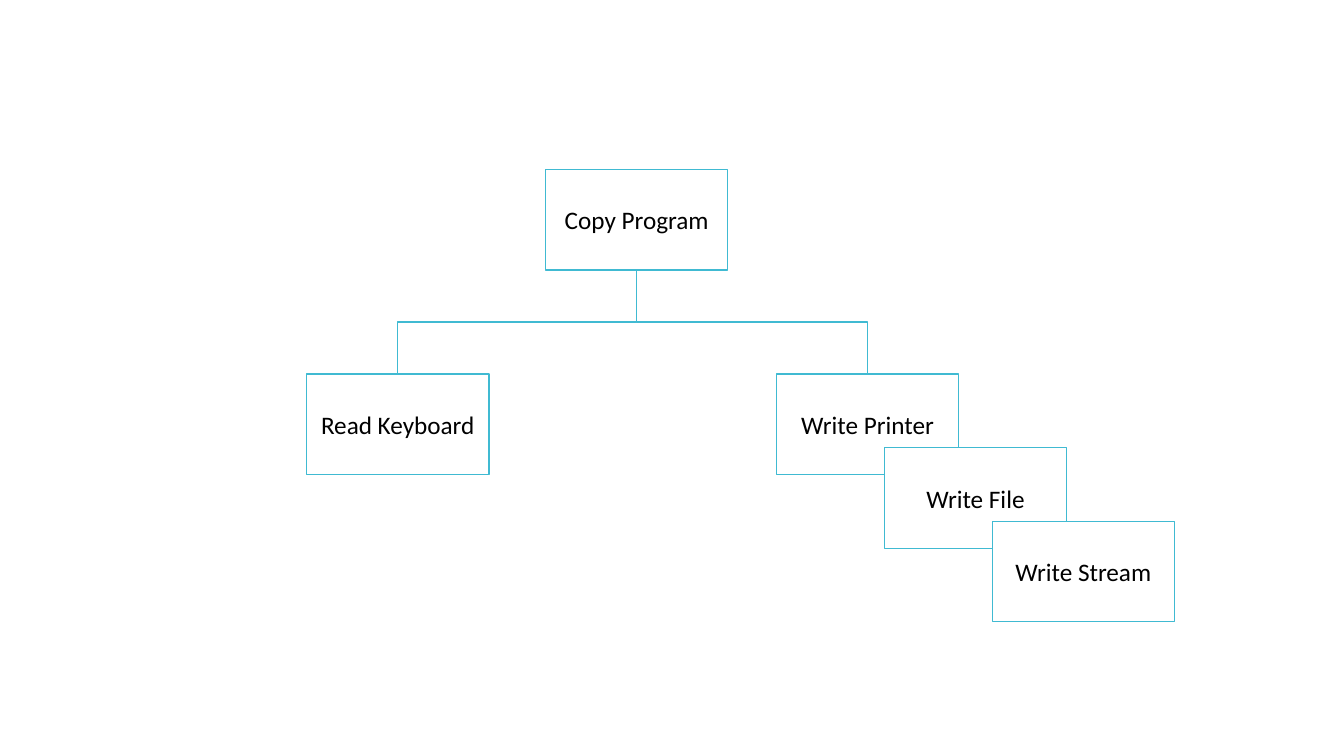
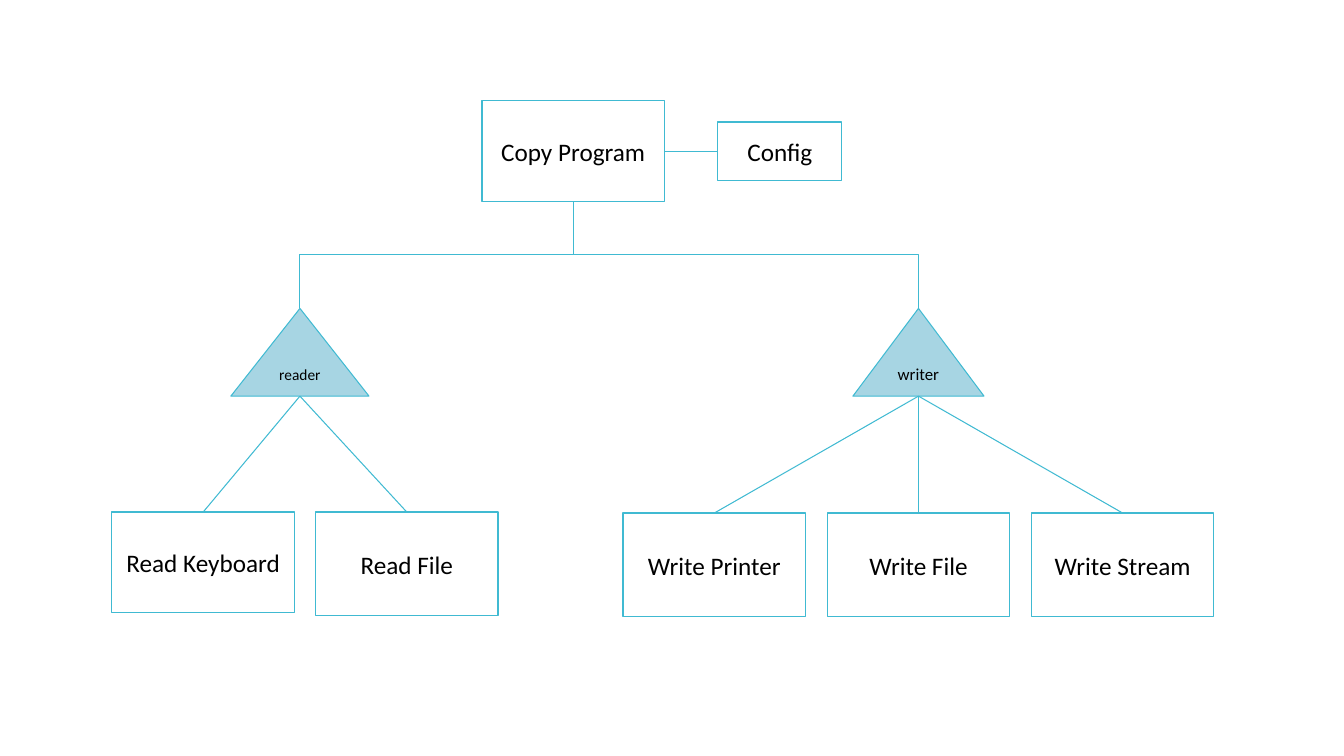
import pptx
import pptx.util
import pptx.dml.color
import pptx.enum.shapes
import pptx.enum.text
import pptx.oxml
import pptx.oxml.ns

Inches = pptx.util.Inches
MSO_SHAPE = pptx.enum.shapes.MSO_SHAPE
MSO_CONNECTOR = pptx.enum.shapes.MSO_CONNECTOR

# Shared style
FONT = "Calibri"
LINE, WHITE, BLACK, PALE_BLUE = "40BAD2", "FFFFFF", "000000", "A7D5E3"
BOX_W, BOX_H = 1.81, 1.0
TOP, BOTTOM, RIGHT, LEFT = 0, 2, 3, 1  # connection sites of a rectangle


def rgb(value):
    return pptx.dml.color.RGBColor.from_string(value)


def add_node(s, kind, text, x, y, w, h, fill, size, line_width):
    sp = s.shapes.add_shape(kind, Inches(x), Inches(y), Inches(w), Inches(h))
    sp.shadow.inherit = False
    sp.fill.solid()
    sp.fill.fore_color.rgb = rgb(fill)
    sp.line.color.rgb = rgb(LINE)
    sp.line.width = pptx.util.Pt(line_width)
    tf = sp.text_frame
    tf.text = text
    tf.word_wrap = kind == MSO_SHAPE.RECTANGLE
    tf.vertical_anchor = pptx.enum.text.MSO_ANCHOR.MIDDLE
    p = tf.paragraphs[0]
    p.alignment = pptx.enum.text.PP_ALIGN.CENTER
    font = p.runs[0].font
    font.name, font.size = FONT, pptx.util.Pt(size)
    font.color.rgb = rgb(BLACK)
    return sp


def add_box(s, text, x, y, w=BOX_W, h=BOX_H):
    return add_node(s, MSO_SHAPE.RECTANGLE, text, x, y, w, h, WHITE, 18, 0.85)


def add_triangle(s, text, x, y, w, h, size):
    return add_node(s, MSO_SHAPE.ISOSCELES_TRIANGLE, text, x, y, w, h,
                    PALE_BLUE, size, 0.75)


def center_x(sp):
    return sp.left + sp.width // 2


def add_line(s, kind, x1, y1, x2, y2):
    cxn = s.shapes.add_connector(kind, x1, y1, x2, y2)
    cxn.line.color.rgb = rgb(LINE)
    cxn.line.width = pptx.util.Pt(0.75)
    cxn._element.spPr.append(pptx.oxml.parse_xml(
        "<a:effectLst %s/>" % pptx.oxml.ns.nsdecls("a")))
    return cxn


def add_branch(s, parent, child):
    """Elbow leaving the parent's bottom and entering the child's top."""
    x1, y1 = center_x(parent), parent.top + parent.height
    x2, y2 = center_x(child), child.top
    cxn = add_line(s, MSO_CONNECTOR.ELBOW, x1, y1, x2, y2)
    cxn.begin_connect(parent, BOTTOM)
    cxn.end_connect(child, TOP)
    # A vertical elbow is a horizontal one turned about its centre
    w, h = y2 - y1, abs(x2 - x1)
    cxn.left, cxn.top = (x1 + x2 - w) // 2, (y1 + y2 - h) // 2
    cxn.width, cxn.height = w, h
    xfrm = cxn._element.spPr.find(pptx.oxml.ns.qn("a:xfrm"))
    goes_right = x2 > x1
    xfrm.set("rot", str((270 if goes_right else 90) * 60000))
    xfrm.set("flipH", "1" if goes_right else "0")
    xfrm.set("flipV", "0")


def add_spokes(s, triangle, children):
    """Straight lines from the triangle's base to each child."""
    for child in children:
        cxn = add_line(s, MSO_CONNECTOR.STRAIGHT, center_x(triangle),
                       triangle.top + triangle.height,
                       center_x(child), child.top)
        cxn.end_connect(child, TOP)


def build_direct_design(s):
    program = add_box(s, "Copy Program", 5.41, 1.68)
    keyboard = add_box(s, "Read Keyboard", 3.04, 3.71)
    # Cascade of overlapping writers
    writers = [add_box(s, text, 7.7 + 1.07 * i, 3.71 + 0.73 * i)
               for i, text in enumerate(
                   ("Write Printer", "Write File", "Write Stream"))]
    for child in (keyboard, writers[0]):
        add_branch(s, program, child)


def build_interface_design(s):
    # Program and its configuration
    program = add_box(s, "Copy Program", 4.78, 1)
    config = add_box(s, "Config", 7.12, 1.21, 1.23, 0.58)
    y = program.top + program.height // 2
    link = add_line(s, MSO_CONNECTOR.STRAIGHT,
                    program.left + program.width, y, config.left, y)
    link.begin_connect(program, RIGHT)
    link.end_connect(config, LEFT)

    # Interfaces
    reader = add_triangle(s, "reader", 2.29, 3.06, 1.37, 0.87, 11)
    writer = add_triangle(s, "writer", 8.46, 3.06, 1.3, 0.87, 12)
    for interface in (reader, writer):
        add_branch(s, program, interface)

    # Implementations
    readers = [add_box(s, "Read Keyboard", 1.11, 5.08),
               add_box(s, "Read File", 3.13, 5.08, h=1.03)]
    writers = [add_box(s, text, 6.18 + 2.025 * i, 5.09, h=1.03)
               for i, text in enumerate(
                   ("Write Printer", "Write File", "Write Stream"))]
    add_spokes(s, reader, readers)
    add_spokes(s, writer, writers)


def main():
    prs = pptx.Presentation()
    prs.slide_width, prs.slide_height = Inches(13.33), Inches(7.5)
    blank = prs.slide_layouts[6]
    for build in (build_direct_design, build_interface_design):
        build(prs.slides.add_slide(blank))
    prs.save("out.pptx")


if __name__ == "__main__":
    main()
